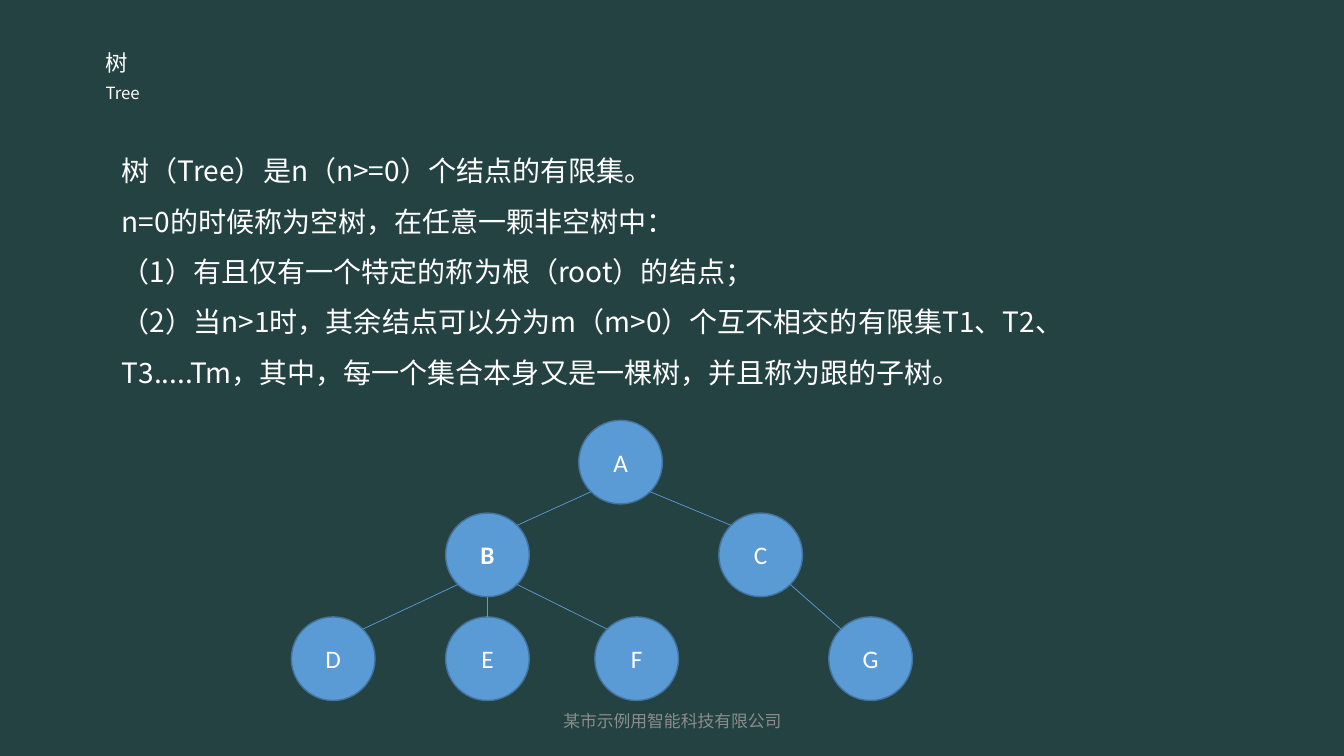
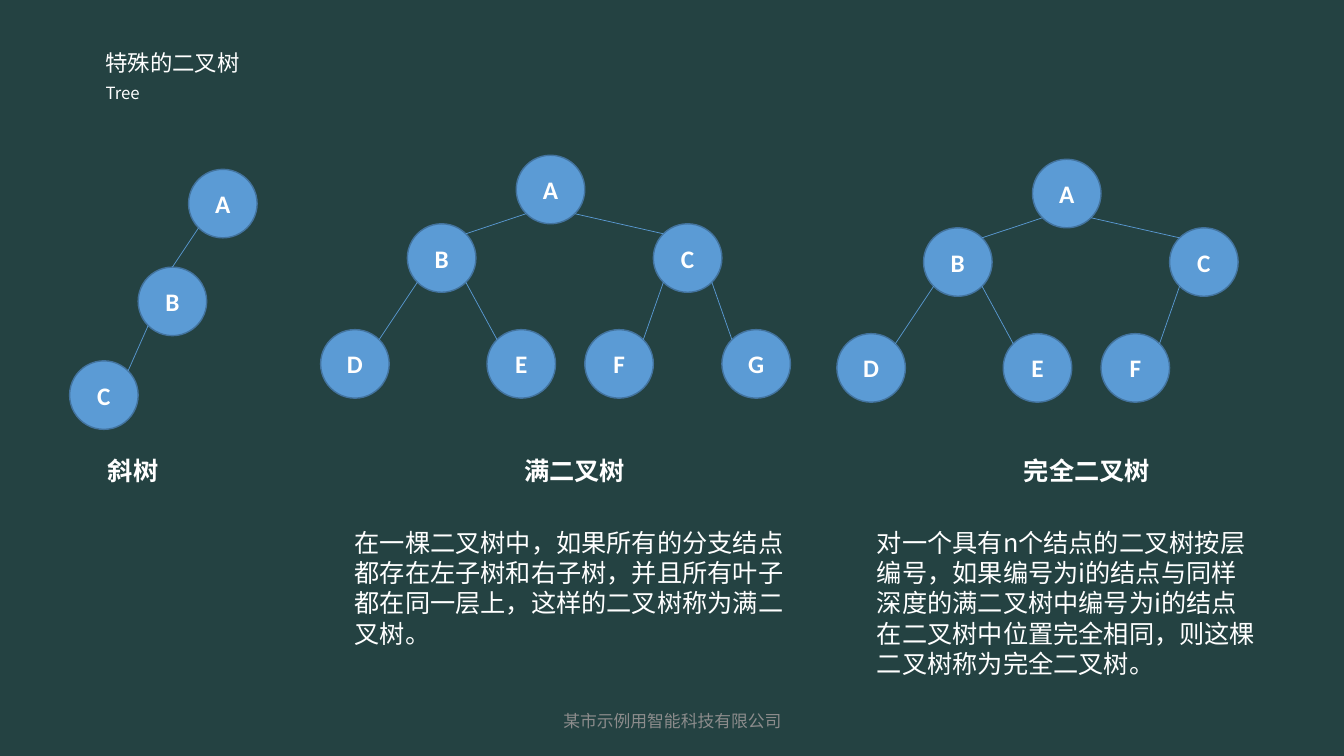
"""Builds two slides that introduce trees and special binary trees."""
from dataclasses import dataclass
from math import sqrt

from lxml.etree import SubElement
from pptx import Presentation
from pptx.dml.color import RGBColor
from pptx.enum.shapes import MSO_CONNECTOR as Connector, MSO_SHAPE as Preset
from pptx.enum.text import MSO_ANCHOR as Anchor, PP_ALIGN as Align
from pptx.oxml.ns import qn
from pptx.slide import Slide
from pptx.text.text import TextFrame
from pptx.util import Inches, Pt


@dataclass(frozen=True)
class Theme:
    board: RGBColor = RGBColor(0x24, 0x42, 0x42)
    text: RGBColor = RGBColor(0xFF, 0xFF, 0xFF)
    footer: RGBColor = RGBColor(0x8C, 0x8C, 0x8C)
    node: RGBColor = RGBColor(0x5B, 0x9B, 0xD5)
    node_rim: RGBColor = RGBColor(0x43, 0x73, 0x9E)
    latin: str = "Calibri"
    chinese: str = "Noto Sans CJK SC"
    small_size: float = 12
    title_size: float = 16
    label_size: float = 18
    body_size: float = 20
    rim_width: float = 1
    edge_width: float = 0.5


@dataclass(frozen=True)
class Box:
    left: float
    top: float
    width: float
    height: float


@dataclass(frozen=True)
class Style:
    size: float
    font: str
    color: RGBColor
    bold: bool = False
    align: Align = Align.LEFT
    spacing: float = 1.0


@dataclass(frozen=True)
class Node:
    label: str
    x: float
    y: float
    parent: str = ""
    bold: bool = True
    joined_at_top: bool = False


@dataclass(frozen=True)
class Tree:
    left: float
    top: float
    diameter: float
    nodes: tuple[Node, ...]


@dataclass(frozen=True)
class Caption:
    text: str
    center: float


THEME = Theme()
TITLE = Style(THEME.title_size, THEME.chinese, THEME.text)
SUBTITLE = Style(THEME.small_size, THEME.chinese, THEME.text)
FOOTER = Style(THEME.small_size, THEME.latin, THEME.footer, align=Align.CENTER)
DEFINITION = Style(THEME.body_size, THEME.chinese, THEME.text, spacing=1.5)
EXPLANATION = Style(THEME.label_size, THEME.chinese, THEME.text)
LABEL = Style(THEME.label_size, THEME.latin, THEME.text, align=Align.CENTER)
STRONG_LABEL = Style(THEME.label_size, THEME.latin, THEME.text, True, Align.CENTER)

TREE_DEFINITION = (
    "树（Tree）是n（n>=0）个结点的有限集。",
    "n=0的时候称为空树，在任意一颗非空树中：",
    "（1）有且仅有一个特定的称为根（root）的结点；",
    "（2）当n>1时，其余结点可以分为m（m>0）个互不相交的有限集T1、T2、T3.....Tm，"
    "其中，每一个集合本身又是一棵树，并且称为跟的子树。",
)
GENERAL_TREE = Tree(2.89, 4.17, 0.83, (
    Node("A", 2.85, 0, bold=False),
    Node("B", 1.53, 0.92, "A"),
    Node("C", 4.24, 0.92, "A", bold=False),
    Node("D", 0, 1.95, "B", bold=False),
    Node("E", 1.53, 1.95, "B", bold=False),
    Node("F", 3.01, 1.95, "B", bold=False),
    Node("G", 5.33, 1.95, "C", bold=False),
))
SKEWED_TREE = Tree(0.69, 1.68, 0.68, (
    Node("A", 1.18, 0),
    Node("B", 0.68, 0.97, "A", joined_at_top=True),
    Node("C", 0, 1.9, "B"),
))
FULL_NODES = (
    Node("A", 1.94, 0),
    Node("B", 0.86, 0.68, "A"),
    Node("C", 3.3, 0.68, "A"),
    Node("D", 0, 1.73, "B"),
    Node("E", 1.65, 1.73, "B"),
    Node("F", 2.62, 1.73, "C"),
    Node("G", 3.98, 1.73, "C"),
)
FULL_TREE = Tree(3.18, 1.54, 0.68, FULL_NODES)
COMPLETE_TREE = Tree(8.3, 1.58, 0.68, FULL_NODES[:-1])
CAPTIONS = (
    Caption("斜树", 1.32),
    Caption("满二叉树", 5.7),
    Caption("完全二叉树", 10.78),
)
FULL_EXPLANATION = (
    "在一棵二叉树中，如果所有的分支结点都存在左子树和右子树，"
    "并且所有叶子都在同一层上，这样的二叉树称为满二叉树。"
)
COMPLETE_EXPLANATION = (
    "对一个具有n个结点的二叉树按层编号，如果编号为i的结点与同样深度的满二叉树中"
    "编号为i的结点在二叉树中位置完全相同，则这棵二叉树称为完全二叉树。"
)


def write(frame: TextFrame, text: str, style: Style) -> None:
    """Fill a text frame and format its paragraphs."""
    frame.text = text
    for paragraph in frame.paragraphs:
        paragraph.alignment = style.align
        paragraph.line_spacing = style.spacing
        for run in paragraph.runs:
            run.font.size = Pt(style.size)
            run.font.name = style.font
            run.font.bold = style.bold
            run.font.color.rgb = style.color
            SubElement(run.font._element, qn("a:ea"), typeface=THEME.chinese)


def add_text(slide: Slide, box: Box, text: str, style: Style,
             anchor: Anchor = Anchor.TOP) -> None:
    """Place a wrapped text box."""
    frame = slide.shapes.add_textbox(
        Inches(box.left), Inches(box.top), Inches(box.width), Inches(box.height)
    ).text_frame
    frame.word_wrap = True
    frame.vertical_anchor = anchor
    write(frame, text, style)


def add_edge(slide: Slide, tree: Tree, parent: Node, child: Node) -> None:
    """Join the lower rim of a parent to the upper rim of its child."""
    radius = tree.diameter / 2
    diagonal = radius / sqrt(2)
    side = (child.x > parent.x) - (child.x < parent.x)
    parent_drop = diagonal if side else radius
    straight_top = child.joined_at_top or not side
    child_rise = radius if straight_top else diagonal
    child_shift = 0 if straight_top else side * diagonal
    left, top = tree.left + radius, tree.top + radius
    edge = slide.shapes.add_connector(
        Connector.STRAIGHT,
        Inches(left + parent.x + side * diagonal), Inches(top + parent.y + parent_drop),
        Inches(left + child.x - child_shift), Inches(top + child.y - child_rise),
    )
    edge.line.color.rgb = THEME.node
    edge.line.width = Pt(THEME.edge_width)
    SubElement(edge._element.spPr, qn("a:effectLst"))


def add_node(slide: Slide, tree: Tree, node: Node) -> None:
    """Draw a labelled circle."""
    circle = slide.shapes.add_shape(
        Preset.OVAL, Inches(tree.left + node.x), Inches(tree.top + node.y),
        Inches(tree.diameter), Inches(tree.diameter),
    )
    circle.shadow.inherit = False
    circle.fill.solid()
    circle.fill.fore_color.rgb = THEME.node
    circle.line.color.rgb = THEME.node_rim
    circle.line.width = Pt(THEME.rim_width)
    frame = circle.text_frame
    frame.margin_left = frame.margin_right = frame.margin_top = frame.margin_bottom = 0
    frame.vertical_anchor = Anchor.MIDDLE
    write(frame, node.label, STRONG_LABEL if node.bold else LABEL)


def add_tree(slide: Slide, tree: Tree) -> None:
    """Draw the nodes of a tree and the edges between them."""
    by_label = {node.label: node for node in tree.nodes}
    for node in tree.nodes:
        add_node(slide, tree, node)
        if node.parent:
            add_edge(slide, tree, by_label[node.parent], node)


def add_slide(deck: Presentation, title: str) -> Slide:
    """Start a slide with the shared heading and footer."""
    slide = deck.slides.add_slide(deck.slide_layouts[6])
    add_text(slide, Box(0.95, 0.77, 6.07, 0.3), "Tree", SUBTITLE)
    add_text(slide, Box(0.95, 0.44, 3.83, 0.37), title, TITLE)
    add_text(slide, Box(4.42, 6.95, 4.5, 0.4), "某市示例用智能科技有限公司",
             FOOTER, Anchor.MIDDLE)
    return slide


def main() -> None:
    """Build and save the presentation."""
    deck = Presentation()
    deck.slide_width, deck.slide_height = Inches(13.33), Inches(7.5)
    board = deck.slide_master.background.fill
    board.solid()
    board.fore_color.rgb = THEME.board

    definition = add_slide(deck, "树")
    add_text(definition, Box(1.11, 1.31, 10.62, 2.62), "\n".join(TREE_DEFINITION), DEFINITION)
    add_tree(definition, GENERAL_TREE)

    special = add_slide(deck, "特殊的二叉树")
    for tree in (SKEWED_TREE, FULL_TREE, COMPLETE_TREE):
        add_tree(special, tree)
    for caption in CAPTIONS:
        add_text(special, Box(caption.center - 1, 4.47, 2, 0.4), caption.text, STRONG_LABEL)
    add_text(special, Box(3.42, 5.18, 4.57, 1.31), FULL_EXPLANATION, EXPLANATION)
    add_text(special, Box(8.6, 5.18, 3.97, 1.61), COMPLETE_EXPLANATION, EXPLANATION)

    deck.save("out.pptx")


if __name__ == "__main__":
    main()
